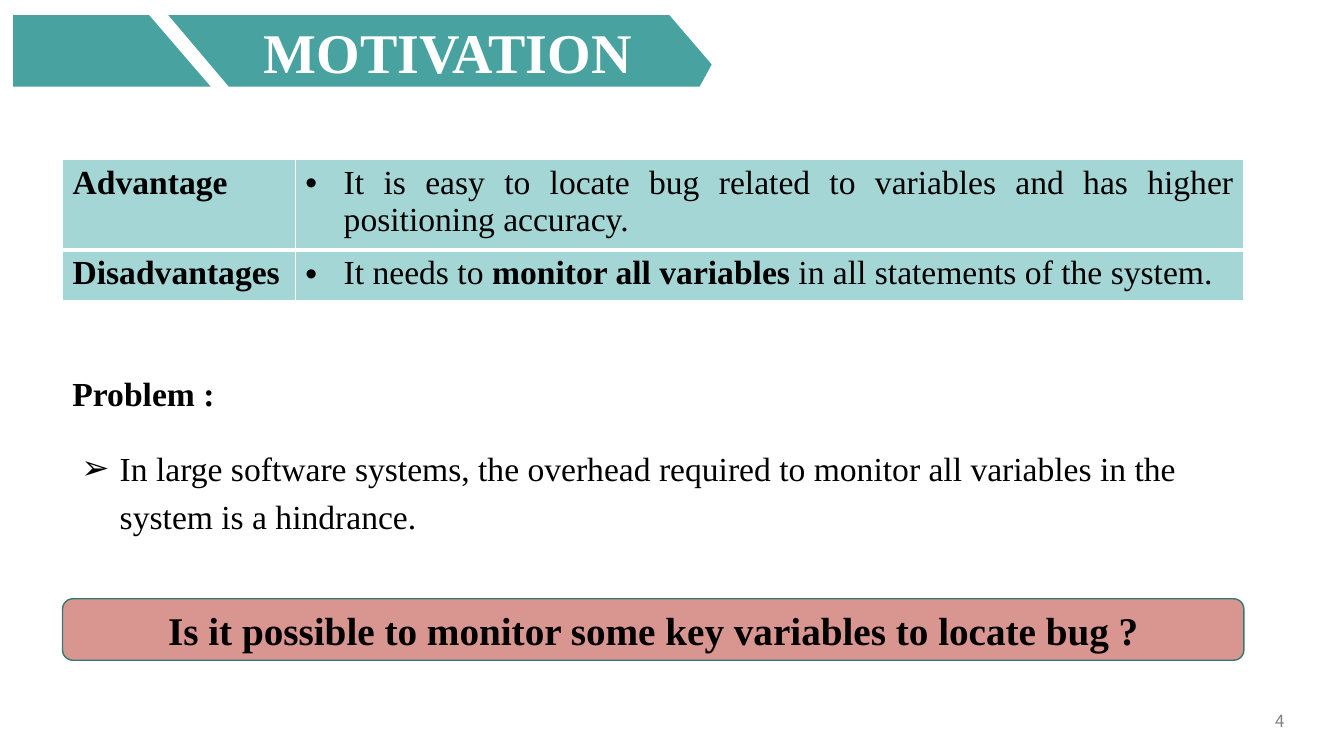
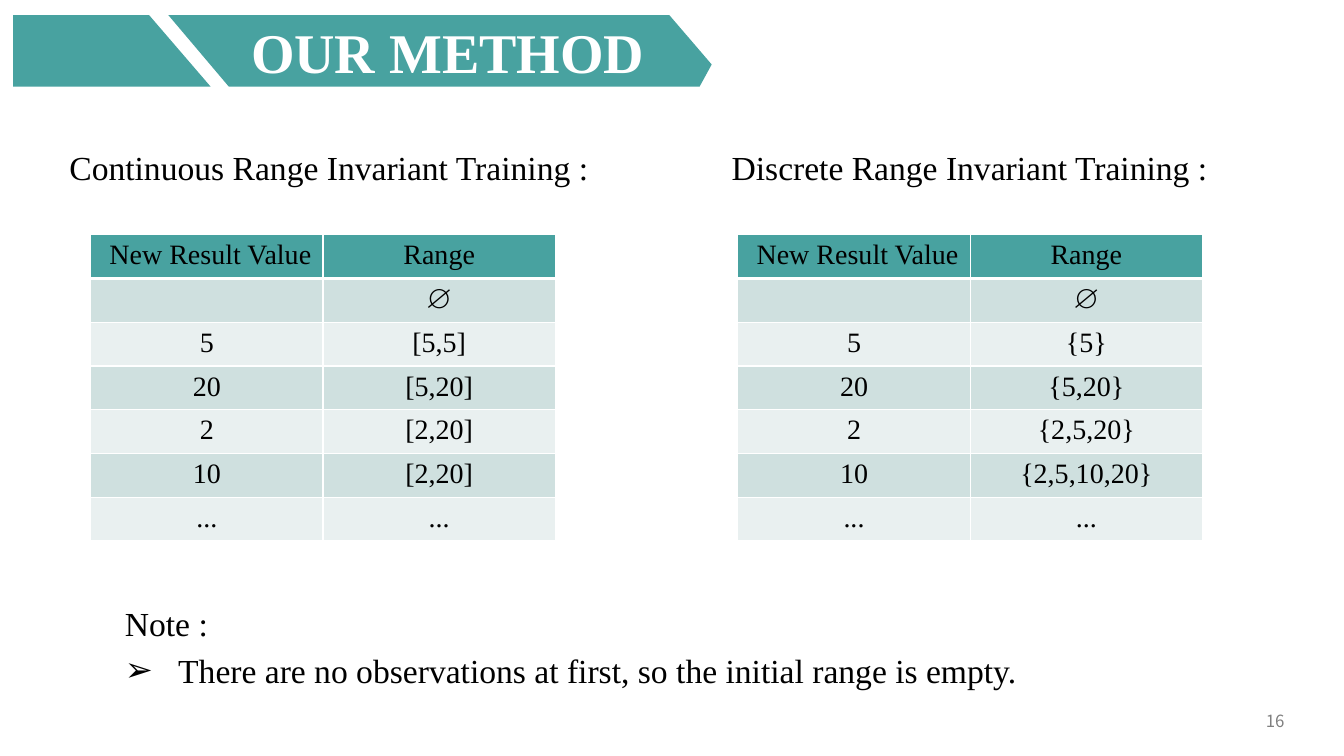
"""Builds the Motivation and Our Method slides on a grid of tenths of an inch."""
import lxml.etree
import pptx
import pptx.dml.color
import pptx.enum.shapes
import pptx.enum.text
import pptx.oxml.ns
import pptx.util

UNIT = pptx.util.Inches(0.1)
COLUMNS, ROWS = 133.33, 75
TEAL, MINT, ROSE = "48A2A0", "A4D6D5", "D9958F"
BANDS = ["CFE0DF", "E9F0F0"]
BLACK, WHITE, GREY, EDGE = "000000", "FFFFFF", "808080", "357876"
ALIGN = pptx.enum.text.PP_ALIGN
MIDDLE = pptx.enum.text.MSO_ANCHOR.MIDDLE
qn = pptx.oxml.ns.qn


def paint(fill, color):
    fill.solid()
    fill.fore_color.rgb = pptx.dml.color.RGBColor.from_string(color)


def write(frame, text, size=24, color=BLACK, bold=False, font="Times New Roman",
          align=ALIGN.LEFT, bullet=None, indent=0, spacing=None, before=None, after=None):
    frame.word_wrap = True
    para = frame.add_paragraph() if frame.text else frame.paragraphs[0]
    properties = para._p.get_or_add_pPr()
    if indent:
        properties.set("marL", str(int(indent * UNIT)))
    if bullet:
        properties.set("indent", str(-int(indent * UNIT)))
        lxml.etree.SubElement(properties, qn("a:buFont"), typeface="Arial")
        lxml.etree.SubElement(properties, qn("a:buChar"), char=bullet)
    para.alignment = align
    if spacing:
        para.line_spacing = spacing
    if before:
        para.space_before = pptx.util.Pt(before)
    if after:
        para.space_after = pptx.util.Pt(after)
    for position, part in enumerate(text.split("*")):
        span = para.add_run()
        span.text = part
        span.font.name = font
        span.font.size = pptx.util.Pt(size)
        span.font.bold = bold != (position % 2 == 1)
        paint(span.font.fill, color)


deck = pptx.Presentation()
deck.slide_width = int(COLUMNS * UNIT)
deck.slide_height = ROWS * UNIT

ribbons = [
    [(1.3, 1.5), (14.8, 1.5), (20.9, 8.6), (1.3, 8.6)],
    [(16.7, 1.5), (66.4, 1.5), (70.6, 6.4), (69.4, 8.6), (22.7, 8.6)],
]
pages = []
for title, number in [("MOTIVATION", "4"), ("OUR METHOD", "16")]:
    page = deck.slides.add_slide(deck.slide_layouts[6])
    pages.append(page)
    for outline in ribbons:
        corners = [(int(x * UNIT), int(y * UNIT)) for x, y in outline]
        builder = page.shapes.build_freeform(*corners[0])
        builder.add_line_segments(corners[1:], close=True)
        ribbon = builder.convert_to_shape()
        ribbon.shadow.inherit = False
        ribbon.line.fill.background()
        paint(ribbon.fill, TEAL)
    ribbon.text_frame.margin_left = int(2.5 * UNIT)
    ribbon.text_frame.vertical_anchor = MIDDLE
    write(ribbon.text_frame, title, size=40, color=WHITE, bold=True, align=ALIGN.CENTER)
    footer = page.shapes.add_textbox(*[int(n * UNIT) for n in (94.2, 69.5, 34.2, 4)])
    footer.text_frame.vertical_anchor = MIDDLE
    write(footer.text_frame, number, size=12, color=GREY, font="Noto Sans CJK SC",
          align=ALIGN.RIGHT)

motivation, method = pages

boxes = [
    (motivation, (6.2, 36.5, 117.2, 5), [("Problem :", dict(bold=True))]),
    (motivation, (7.1, 43.1, 116.4, 10.7), [
        ("In large software systems, the overhead required to monitor all variables in the "
         "system is a hindrance.", dict(bullet="➢", indent=3.8, spacing=1.2))]),
    (method, (5.9, 14.1, 58, 5), [("Continuous Range Invariant Training :", {})]),
    (method, (71.6, 14.1, 58, 5), [("Discrete Range Invariant Training :", {})]),
    (method, (11.4, 59.3, 98.6, 9.7), [
        ("Note :", {}),
        ("There are no observations at first, so the initial range is empty.",
         dict(bullet="➢", indent=5.3, before=5))]),
]
for page, place, paragraphs in boxes:
    box = page.shapes.add_textbox(*[int(n * UNIT) for n in place])
    for text, style in paragraphs:
        write(box.text_frame, text, **style)

question = motivation.shapes.add_shape(
    pptx.enum.shapes.MSO_SHAPE.ROUNDED_RECTANGLE,
    *[int(n * UNIT) for n in (6.2, 59.4, 117.2, 6.1)])
question.shadow.inherit = False
paint(question.fill, ROSE)
paint(question.line.fill, EDGE)
question.line.width = pptx.util.Pt(1)
question.text_frame.vertical_anchor = MIDDLE
write(question.text_frame, "Is it possible to monitor some key variables to locate bug ?",
      size=28, bold=True, align=ALIGN.CENTER)

verdicts = [
    ("Advantage", "It is easy to locate bug related to variables and has higher "
                  "positioning accuracy."),
    ("Disadvantages", "It needs to *monitor all variables* in all statements of the system."),
]
verdict_styles = [dict(bold=True, align=ALIGN.JUSTIFY),
                  dict(bullet="•", indent=3.8, align=ALIGN.JUSTIFY)]
values = ["", "5", "20", "2", "10", "..."]
ranges = [
    (9, ["∅", "[5,5]", "[5,20]", "[2,20]", "[2,20]", "..."]),
    (73.2, ["∅", "{5}", "{5,20}", "{2,5,20}", "{2,5,10,20}", "..."]),
]
range_styles = [dict(size=20, align=ALIGN.CENTER)] * 2
grids = [(motivation, 6.2, 15.8, [23.1, 94.1], [9, 5], verdicts, verdict_styles, [MINT] * 2)]
for left, column in ranges:
    grids.append((method, left, 23.3, [23.05] * 2, [4.33] * 7,
                  [("New Result Value", "Range"), *zip(values, column)],
                  range_styles, [TEAL] + BANDS * 3))

for page, left, top, widths, heights, lines, styles, fills in grids:
    table = page.shapes.add_table(
        len(heights), len(widths),
        *[int(n * UNIT) for n in (left, top, sum(widths), sum(heights))]).table
    table.first_row = table.horz_banding = False
    for column, width in zip(table.columns, widths):
        column.width = int(width * UNIT)
    for row, height in zip(table.rows, heights):
        row.height = int(height * UNIT)
    for r, line in enumerate(lines):
        for c, text in enumerate(line):
            cell = table.cell(r, c)
            paint(cell.fill, fills[r])
            if text:
                nudge = dict(indent=0.7) if text == "New Result Value" else {}
                write(cell.text_frame, text, **styles[c], **nudge)
            properties = cell._tc.get_or_add_tcPr()
            for position, side in enumerate(["L", "R", "T", "B"]):
                thick = (r, side) in [(0, "B"), (1, "T")]
                border = lxml.etree.Element(
                    qn("a:ln" + side), w=str(pptx.util.Pt(3 if thick else 1)))
                solid = lxml.etree.SubElement(border, qn("a:solidFill"))
                lxml.etree.SubElement(solid, qn("a:srgbClr"), val=WHITE)
                properties.insert(position, border)

deck.save("out.pptx")
